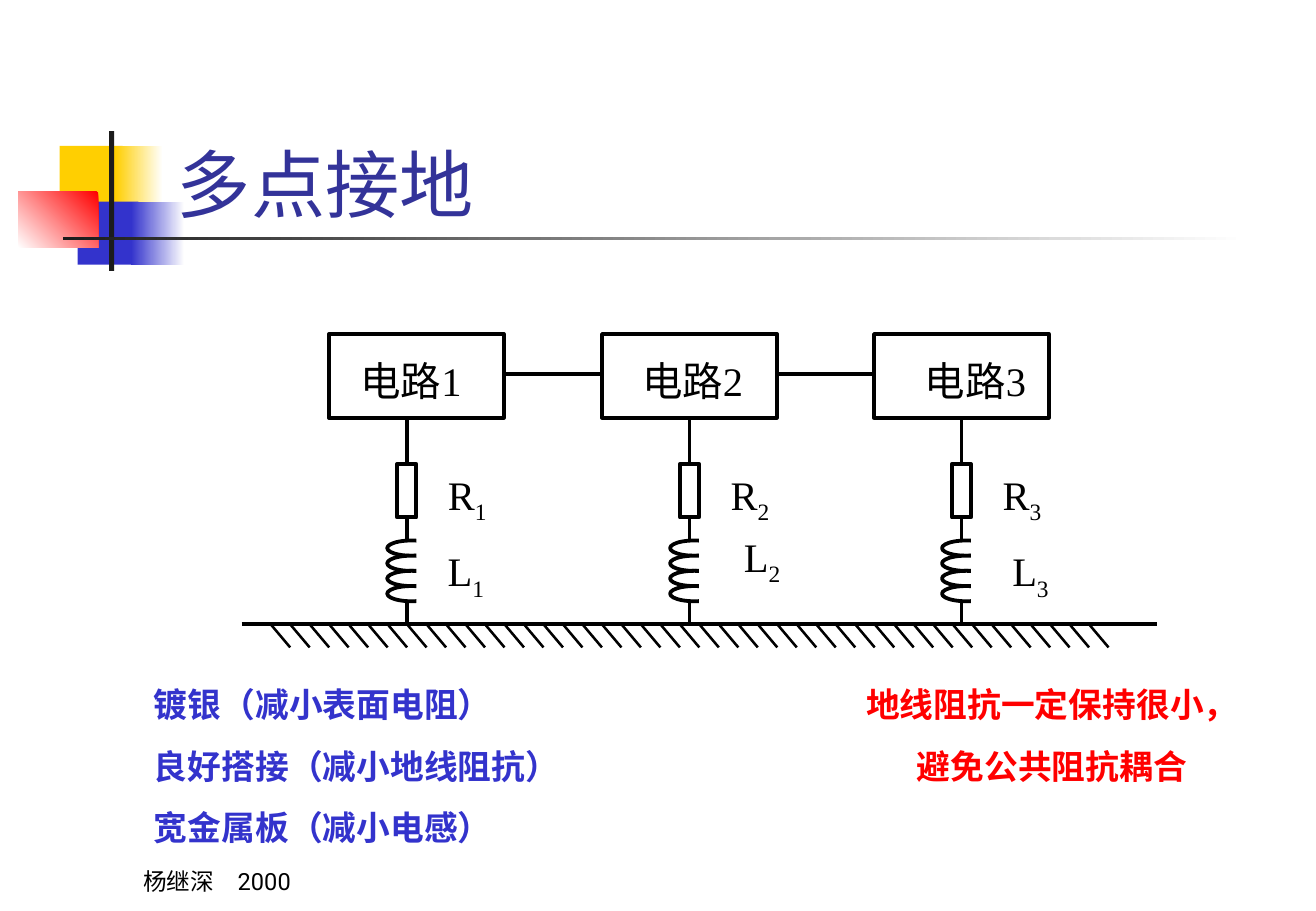
"""Draw the multi-point grounding slide with its circuit diagram."""
from dataclasses import dataclass
from typing import Optional

from lxml import etree
from pptx import Presentation
from pptx import util as u
from pptx.dml.color import RGBColor
from pptx.enum import shapes, text
from pptx.oxml.ns import qn
from pptx.slide import Slide


@dataclass(frozen=True)
class Theme:
    black: str = "000000"
    white: str = "FFFFFF"
    charcoal: str = "1C1C1C"
    yellow: str = "FFCF01"
    blue: str = "3333CC"
    red: str = "FF0000"
    title: str = "333399"
    sans: str = "Roboto"
    serif: str = "Times New Roman"
    title_size: float = 44
    label_size: float = 24
    note_size: float = 20
    footer_size: float = 14
    wire: float = 2.25
    hatch: float = 1.5


@dataclass(frozen=True)
class Area:
    left: float
    top: float
    width: float
    height: float

    def lengths(self) -> tuple[u.Length, ...]:
        return tuple(u.Inches(value) for value in (self.left, self.top, self.width, self.height))


@dataclass(frozen=True)
class Block:
    area: Area
    start: str
    end: Optional[str] = None
    angle: float = 180


@dataclass(frozen=True)
class Style:
    size: float
    color: str
    font: str
    bold: bool = False
    before: float = 0
    align: text.PP_ALIGN = text.PP_ALIGN.LEFT
    anchor: text.MSO_ANCHOR = text.MSO_ANCHOR.TOP
    grow: bool = True


@dataclass(frozen=True)
class Span:
    words: str
    lowered: bool = False


@dataclass(frozen=True)
class Circuit:
    number: str
    box_left: float
    name_left: float
    stem: float
    inductor_left: float
    inductor_top: float


THEME = Theme()
LABEL = Style(THEME.label_size, THEME.black, THEME.serif, before=15)
BOX_TOP, BOX_WIDTH, BOX_HEIGHT = 2.75, 1.44, 0.69
RESISTOR_TOP, RESISTOR_BOTTOM = 3.82, 4.26
COIL_TOP, COIL_BOTTOM, COIL_TURNS = 4.45, 4.95, 4
GROUND, LINK = 5.14, 3.08
HATCH_LEFT, HATCH_PITCH, HATCH_COUNT, HATCH_DROP = 2.23, 0.1605, 43, 0.19

DECORATION = (
    Block(Area(0.49, 1.2, 0.52, 0.52), THEME.yellow),
    Block(Area(0.95, 1.2, 0.39, 0.52), THEME.white, THEME.yellow),
    Block(Area(0.64, 1.66, 0.5, 0.52), THEME.blue),
    Block(Area(1.08, 1.66, 0.44, 0.52), THEME.white, THEME.blue),
    Block(Area(0.15, 1.58, 0.66, 0.46), THEME.red, THEME.white, 225),
    Block(Area(0.9, 1.08, 0.04, 1.15), THEME.charcoal),
    Block(Area(0.52, 1.95, 9.75, 0.03), THEME.white, THEME.charcoal),
)
CIRCUITS = (
    Circuit("1", 2.71, 2.87, 3.35, 3.59, 4.45),
    Circuit("2", 4.96, 5.19, 5.68, 6.03, 4.33),
    Circuit("3", 7.2, 7.52, 7.92, 8.24, 4.45),
)


def add_block(page: Slide, block: Block) -> None:
    """Add a borderless rectangle with a solid or gradient fill."""
    shape = page.shapes.add_shape(shapes.MSO_SHAPE.RECTANGLE, *block.area.lengths())
    shape.shadow.inherit = False
    shape.line.fill.background()
    if block.end is None:
        shape.fill.solid()
        shape.fill.fore_color.rgb = RGBColor.from_string(block.start)
        return
    shape.fill.gradient()
    shape.fill.gradient_angle = block.angle
    for stop, color in zip(shape.fill.gradient_stops, (block.start, block.end)):
        stop.color.rgb = RGBColor.from_string(color)


def add_outline(page: Slide, kind: shapes.MSO_SHAPE, area: Area) -> None:
    """Add a white shape with a black outline."""
    shape = page.shapes.add_shape(kind, *area.lengths())
    shape.shadow.inherit = False
    shape.fill.solid()
    shape.fill.fore_color.rgb = RGBColor.from_string(THEME.white)
    shape.line.color.rgb = RGBColor.from_string(THEME.black)
    shape.line.width = u.Pt(THEME.wire)


def add_line(page: Slide, start: tuple[float, float], end: tuple[float, float],
             weight: float = THEME.wire) -> None:
    """Add a straight black line."""
    points = (u.Inches(value) for value in (*start, *end))
    line = page.shapes.add_connector(shapes.MSO_CONNECTOR.STRAIGHT, *points)
    line.line.color.rgb = RGBColor.from_string(THEME.black)
    line.line.width = u.Pt(weight)
    etree.SubElement(line._element.spPr, qn("a:effectLst"))


def add_text(page: Slide, area: Area, style: Style, *lines: tuple[Span, ...]) -> None:
    """Add a text box with one paragraph for each line of spans."""
    box = page.shapes.add_textbox(*area.lengths())
    frame = box.text_frame
    frame.word_wrap = True
    frame.vertical_anchor = style.anchor
    frame.auto_size = text.MSO_AUTO_SIZE.SHAPE_TO_FIT_TEXT if style.grow else text.MSO_AUTO_SIZE.NONE
    for index, line in enumerate(lines):
        para = frame.add_paragraph() if index else frame.paragraphs[0]
        para.alignment = style.align
        para.space_before = u.Pt(style.before)
        for part in line:
            span = para.add_run()
            span.text = part.words
            span.font.size = u.Pt(style.size)
            span.font.bold = style.bold
            span.font.name = style.font
            span.font.color.rgb = RGBColor.from_string(style.color)
            properties = span._r.get_or_add_rPr()
            etree.SubElement(properties, qn("a:ea"), typeface=THEME.sans)
            if part.lowered:
                properties.set("baseline", "-25000")


def add_circuit(page: Slide, circuit: Circuit) -> None:
    """Add a circuit box with its resistor and coil down to the ground."""
    stem = circuit.stem
    rectangle = shapes.MSO_SHAPE.RECTANGLE
    add_outline(page, rectangle, Area(circuit.box_left, BOX_TOP, BOX_WIDTH, BOX_HEIGHT))
    add_outline(page, rectangle, Area(stem - 0.08, RESISTOR_TOP, 0.16, RESISTOR_BOTTOM - RESISTOR_TOP))
    turn = (COIL_BOTTOM - COIL_TOP) / COIL_TURNS
    for index in range(COIL_TURNS):
        add_outline(page, shapes.MSO_SHAPE.OVAL, Area(stem - 0.16, COIL_TOP + index * turn, 0.4, turn))
    add_block(page, Block(Area(stem + 0.08, 4.32, 0.32, 0.69), THEME.white))
    for top, bottom in ((BOX_TOP + BOX_HEIGHT, RESISTOR_TOP), (RESISTOR_BOTTOM, COIL_TOP),
                        (COIL_BOTTOM, GROUND)):
        add_line(page, (stem, top), (stem, bottom))
    number = Span(circuit.number, lowered=True)
    add_text(page, Area(stem + 0.24, RESISTOR_TOP, 0.65, 0.56), LABEL, (Span("R"), number))
    add_text(page, Area(circuit.inductor_left, circuit.inductor_top, 0.56, 0.56), LABEL, (Span("L"), number))
    add_text(page, Area(circuit.name_left, 2.88, 1.12, 0.5), LABEL, (Span("电路" + circuit.number),))


def main() -> None:
    """Build and save the slide."""
    deck = Presentation()
    deck.slide_width, deck.slide_height = u.Inches(10.84), u.Inches(7.5)
    page = deck.slides.add_slide(deck.slide_layouts[6])
    for block in DECORATION:
        add_block(page, block)
    bottom = text.MSO_ANCHOR.BOTTOM
    add_text(page, Area(1.36, 0.67, 9.23, 1.25),
             Style(THEME.title_size, THEME.title, THEME.sans, anchor=bottom, grow=False), (Span("多点接地"),))
    for circuit in CIRCUITS:
        add_circuit(page, circuit)
    for left, right in zip(CIRCUITS, CIRCUITS[1:]):
        add_line(page, (left.box_left + BOX_WIDTH, LINK), (right.box_left, LINK))
    add_line(page, (1.99, GROUND), (9.53, GROUND))
    for index in range(HATCH_COUNT):
        left = HATCH_LEFT + index * HATCH_PITCH
        add_line(page, (left, GROUND), (left + HATCH_PITCH, GROUND + HATCH_DROP), THEME.hatch)
    add_text(page, Area(6.86, 5.58, 3.61, 0.94),
             Style(THEME.note_size, THEME.red, THEME.sans, True, 12.5, text.PP_ALIGN.CENTER),
             (Span("地线阻抗一定保持很小，"),), (Span("避免公共阻抗耦合"),))
    add_text(page, Area(1.17, 5.58, 3.97, 1.45),
             Style(THEME.note_size, THEME.blue, THEME.sans, True, 12.5),
             (Span("镀银（减小表面电阻）"),), (Span("良好搭接（减小地线阻抗）"),), (Span("宽金属板（减小电感）"),))
    add_text(page, Area(1.08, 6.92, 2.26, 0.5),
             Style(THEME.footer_size, THEME.black, THEME.sans, anchor=bottom, grow=False),
             (Span("杨继深　2000"),))
    deck.save("out.pptx")


if __name__ == "__main__":
    main()
